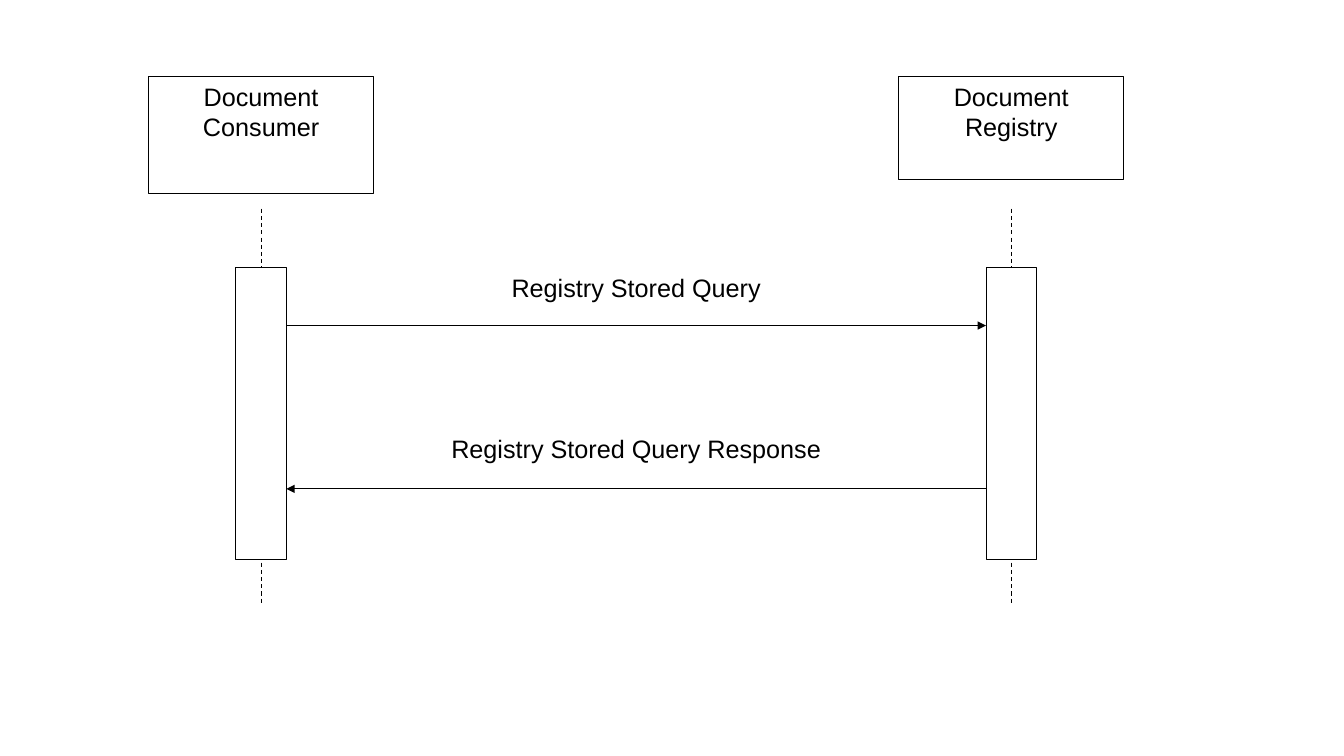
import pptx
import pptx.dml.color
import pptx.enum.dml
import pptx.enum.shapes
import pptx.enum.text
import pptx.oxml
import pptx.oxml.ns
import pptx.util
from pptx.util import Inches

BLACK = pptx.dml.color.RGBColor(0x00, 0x00, 0x00)
WHITE = pptx.dml.color.RGBColor(0xFF, 0xFF, 0xFF)
LINE_WIDTH = pptx.util.Pt(0.75)

HEAD_TOP, HEAD_WIDTH = 0.76, 2.23
LIFELINE_TOP, LIFELINE_BOTTOM = 2.07, 5.99
BAR_TOP, BAR_WIDTH, BAR_HEIGHT = 2.65, 0.5, 2.9
LABEL_HEIGHT = 1.31
CONSUMER_X, REGISTRY_X = 2.59, 10.03


def write_text(box, text, *, size=18, font="Arial", color=BLACK):
    frame = box.text_frame
    frame.word_wrap = True
    frame.vertical_anchor = pptx.enum.text.MSO_ANCHOR.TOP
    para = frame.paragraphs[0]
    para.alignment = pptx.enum.text.PP_ALIGN.CENTER
    span = para.add_run()
    span.text = text
    span.font.size = pptx.util.Pt(size)
    span.font.name = font
    span.font.color.rgb = color


def add_rectangle(page, center_x, top, width, height, *, fill=None, text=None):
    box = page.shapes.add_shape(
        pptx.enum.shapes.MSO_SHAPE.RECTANGLE,
        Inches(center_x - width / 2), Inches(top), Inches(width), Inches(height))
    box.shadow.inherit = False
    if fill is None:
        box.fill.background()
    else:
        box.fill.solid()
        box.fill.fore_color.rgb = fill
    box.line.color.rgb = BLACK
    box.line.width = LINE_WIDTH
    if text:
        write_text(box, text)


def add_line(page, start, end, *, dashed=False, arrow=False):
    line = page.shapes.add_connector(
        pptx.enum.shapes.MSO_CONNECTOR.STRAIGHT,
        *(Inches(value) for value in (*start, *end)))
    line.line.color.rgb = BLACK
    line.line.width = LINE_WIDTH
    if dashed:
        line.line.dash_style = pptx.enum.dml.MSO_LINE.DASH
    properties = line._element.spPr
    if arrow:
        tail = pptx.oxml.parse_xml(
            f'<a:tailEnd {pptx.oxml.ns.nsdecls("a")} type="triangle"/>')
        line.line._get_or_add_ln().append(tail)
    properties.append(pptx.oxml.parse_xml(
        f'<a:effectLst {pptx.oxml.ns.nsdecls("a")}/>'))


def add_message(page, text, sender_x, receiver_x, line_y, label_top):
    """Draw a labelled arrow between the facing edges of two activation bars."""
    inset = BAR_WIDTH / 2 if sender_x < receiver_x else -BAR_WIDTH / 2
    start, end = sender_x + inset, receiver_x - inset
    add_line(page, (start, line_y), (end, line_y), arrow=True)
    label = page.shapes.add_textbox(
        Inches(min(start, end)), Inches(label_top),
        Inches(abs(end - start)), Inches(LABEL_HEIGHT))
    write_text(label, text)


def add_actor(page, name, center_x, head_height):
    """Draw an actor's head, dashed lifeline and activation bar."""
    add_line(page, (center_x, LIFELINE_TOP), (center_x, LIFELINE_BOTTOM), dashed=True)
    add_rectangle(page, center_x, HEAD_TOP, HEAD_WIDTH, head_height, text=name)
    add_rectangle(page, center_x, BAR_TOP, BAR_WIDTH, BAR_HEIGHT, fill=WHITE)


def main():
    deck = pptx.Presentation()
    deck.slide_width, deck.slide_height = Inches(13.33), Inches(7.5)
    page = deck.slides.add_slide(deck.slide_layouts.get_by_name("Blank"))

    add_actor(page, "Document Consumer", CONSUMER_X, 1.16)
    add_actor(page, "Document Registry", REGISTRY_X, 1.02)
    add_message(page, "Registry Stored Query",
                CONSUMER_X, REGISTRY_X, 3.23, 2.65)
    add_message(page, "Registry Stored Query Response",
                REGISTRY_X, CONSUMER_X, 4.85, 4.25)

    deck.save("out.pptx")


if __name__ == "__main__":
    main()
